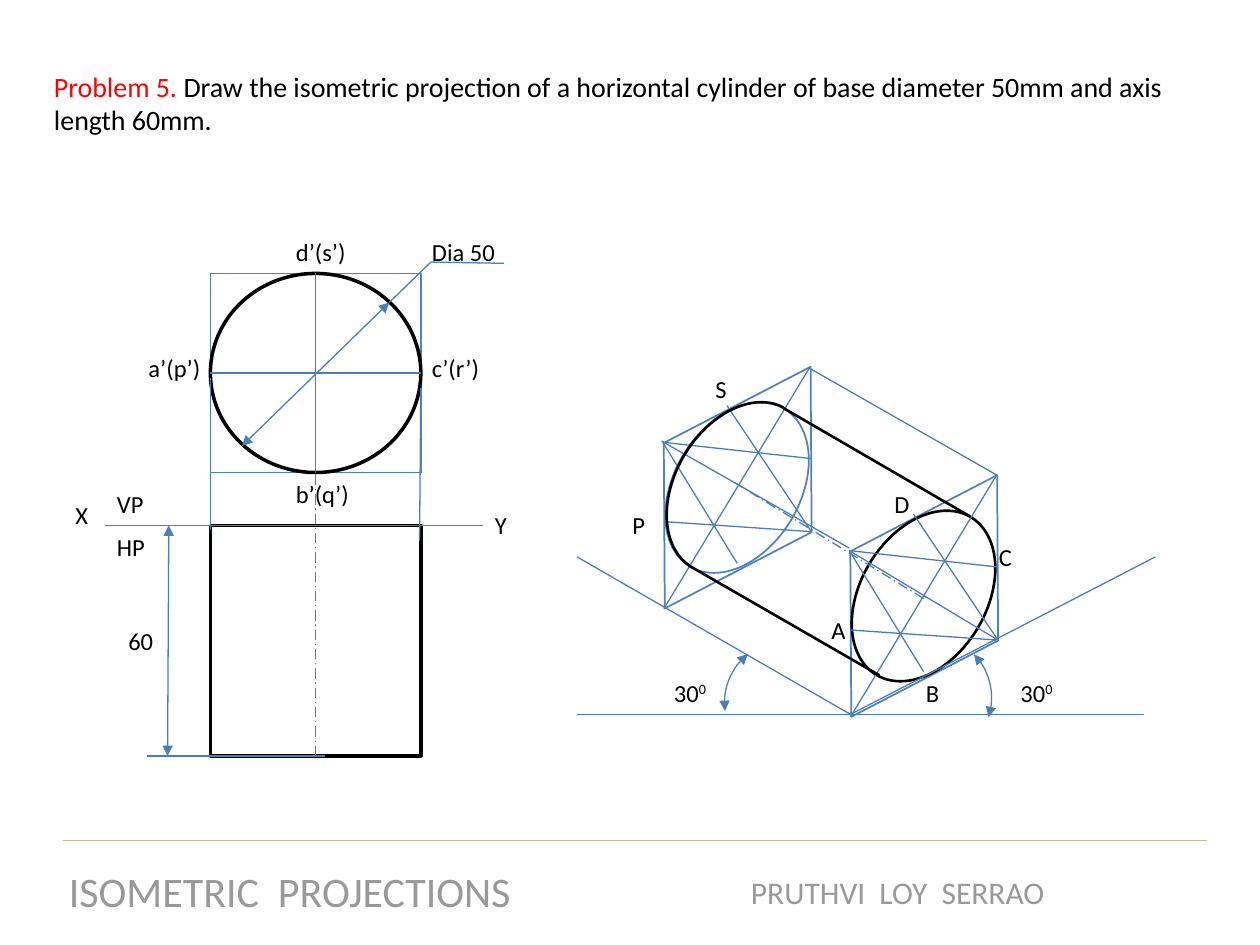
from lxml import etree
from pptx import Presentation
from pptx.dml.color import RGBColor
from pptx.enum.dml import MSO_LINE
from pptx.enum.shapes import MSO_CONNECTOR, MSO_SHAPE
from pptx.enum.text import PP_ALIGN
from pptx.oxml.ns import qn
from pptx.util import Inches, Pt

RECT, OVAL = MSO_SHAPE.RECTANGLE, MSO_SHAPE.OVAL
DIAMOND, ARC = MSO_SHAPE.DIAMOND, MSO_SHAPE.ARC
STRAIGHT = MSO_CONNECTOR.STRAIGHT
DASH_DOT = MSO_LINE.LONG_DASH_DOT
LEFT, CENTER = PP_ALIGN.LEFT, PP_ALIGN.CENTER
TOP_SIDE, LEFT_SIDE, BOTTOM_SIDE, RIGHT_SIDE = range(4)

WHITE = RGBColor(0xFF, 0xFF, 0xFF)
BLACK = RGBColor(0, 0, 0)
RED = RGBColor(0xFF, 0, 0)
GRAY = RGBColor(0x99, 0x99, 0x99)
EDGE = RGBColor(0x4F, 0x81, 0xBD)
BLUE = RGBColor(0x4A, 0x7D, 0xBB)
TAN = RGBColor(0xC4, 0xBD, 0x97)

prs = Presentation()
prs.slide_width, prs.slide_height = Inches(10), Inches(7.5)
s = prs.slides.add_slide(prs.slide_layouts[6])


def draw(kind, box, color=BLUE, width=0.75, rot=0, adj=(), dash=None, arrows=False):
    """Add a line (kind None, box = x1, y1, x2, y2) or an outlined shape."""
    box = [Inches(v) for v in box]
    if kind is None:
        sp = s.shapes.add_connector(STRAIGHT, *box)
        etree.SubElement(sp._element.spPr, qn("a:effectLst"))
    else:
        sp = s.shapes.add_shape(kind, *box)
        sp.shadow.inherit = False
        sp.rotation = rot
        for i, value in enumerate(adj):
            sp.adjustments[i] = value
        if kind == ARC:
            sp.fill.background()
        else:
            sp.fill.solid()
            sp.fill.fore_color.rgb = WHITE
    sp.line.color.rgb = color
    sp.line.width = Pt(width)
    if dash:
        sp.line.dash_style = dash
    if arrows:
        ln = sp.line._get_or_add_ln()
        for tag in ("a:headEnd", "a:tailEnd"):
            etree.SubElement(ln, qn(tag), type="triangle")
    return sp


def write(box, runs, size=14, align=LEFT):
    """Add a text box; runs are (text, color, baseline in 1/1000 %)."""
    tf = s.shapes.add_textbox(*[Inches(v) for v in box]).text_frame
    frame = {"word_wrap": True, "margin_right": 0,
             "margin_left": 0 if align == CENTER else Inches(0.1)}
    for name, value in frame.items():
        setattr(tf, name, value)
    p = tf.paragraphs[0]
    p.alignment = align
    for text, color, baseline in runs:
        r = p.add_run()
        r.text = text
        for name, value in {"size": Pt(size), "name": "Calibri"}.items():
            setattr(r.font, name, value)
        r.font.color.rgb = color
        if baseline:
            r.font._element.set("baseline", str(baseline))


# Problem statement
write((0.33, 0.5, 9.42, 0.64), [
    ("Problem 5. ", RED, 0),
    ("Draw the isometric projection of a horizontal cylinder of base diameter "
     "50mm and axis length 60mm.", BLACK, 0)], 16)

# Front view (circle in square) and top view (rectangle)
square = draw(RECT, (1.67, 2.17, 1.67, 1.58), EDGE, 1)
plan = draw(RECT, (1.67, 4.17, 1.67, 1.83), BLACK, 2)
draw(OVAL, (1.67, 2.17, 1.67, 1.58), BLACK, 2)

# Centre lines and cylinder axis, joined to the sides
for box, start, i, end, j, dash in (
        ((1.67, 2.96, 3.33, 2.96), square, LEFT_SIDE, square, RIGHT_SIDE, None),
        ((2.5, 2.17, 2.5, 3.75), square, TOP_SIDE, square, BOTTOM_SIDE, None),
        ((2.5, 6, 2.5, 3.75), plan, BOTTOM_SIDE, square, BOTTOM_SIDE, DASH_DOT)):
    c = draw(None, box, dash=dash)
    c.begin_connect(start, i)
    c.end_connect(end, j)

# XY line, projectors, extension line and diameter leader
for box in ((0.83, 4.17, 3.83, 4.17), (1.67, 4.21, 1.67, 3),
            (3.33, 4.29, 3.34, 3.08), (1.17, 6, 2.58, 6),
            (3.42, 2.08, 3.09, 2.4), (4, 2.09, 3.42, 2.08)):
    draw(None, box)

# Length and diameter dimensions
for box in ((1.34, 4.17, 1.33, 6), (1.92, 3.54, 3.09, 2.4)):
    draw(None, box, arrows=True)

# Isometric end faces: the back one is the front one shifted along the axis
for dx, dy, color, width in ((0, 0, BLACK, 1.5), (-1.48, -0.86, EDGE, 1)):
    draw(DIAMOND, (6.65 + dx, 3.61 + dy, 1.37, 2.24), EDGE, 1, rot=31.1)
    draw(OVAL, (6.6 + dx, 4.23 + dy, 1.46, 1), color, width, rot=300.9)
    for x1, y1, x2, y2 in ((6.75, 5, 7.92, 5.08), (7.92, 5.08, 7.25, 4.08),
                           (6.74, 4.37, 7.33, 5.33), (6.74, 4.37, 7.92, 4.5),
                           (7.91, 3.77, 6.75, 5.69)):
        draw(None, (x1 + dx, y1 + dy, x2 + dx, y2 + dy))

# Ground line, 30-degree lines and long edges of the box
for box in ((6.75, 5.67, 9.17, 4.42), (4.58, 5.67, 9.08, 5.67),
            (6.75, 5.67, 4.58, 4.42), (7.92, 5.08, 6.74, 4.37),
            (7.91, 3.77, 6.42, 2.92), (6.74, 4.35, 5.25, 3.5)):
    draw(None, box)

# Cylinder outline and axis
for box in ((7.7, 4.1, 6.22, 3.24), (6.98, 5.36, 5.47, 4.49)):
    draw(None, box, BLACK, 1.5)
draw(ARC, (5.13, 3.37, 1.46, 1), BLACK, 1.5, rot=300.5, adj=(108.9, 215.42))
draw(None, (7.33, 4.75, 5.83, 3.83), dash=DASH_DOT)

# Angle arcs
draw(ARC, (6.87, 5.04, 1, 1), rot=39, adj=(166.31, 203.31), arrows=True)
draw(ARC, (5.75, 5.08, 1, 1), rot=270, adj=(157.67, 192.65), arrows=True)

# Labels
for text, x, y, w in (
        ("X", 0.5, 3.92, 0.3), ("Y", 3.83, 4, 0.3),
        ("VP", 0.83, 3.83, 0.42), ("HP", 0.83, 4.17, 0.43),
        ("Dia 50", 3.33, 1.83, 0.71), ("60", 0.92, 4.92, 0.4),
        ("a’(p’)", 1.08, 2.75, 0.62), ("b’(q’)", 2.25, 3.75, 0.97),
        ("c’(r’)", 3.33, 2.75, 0.58), ("d’(s’)", 2.25, 1.83, 0.61),
        ("A", 6.5, 4.83, 0.32), ("B", 7.25, 5.33, 0.31),
        ("C", 7.83, 4.25, 0.31), ("D", 7, 3.83, 0.32),
        ("P", 4.92, 4, 0.31), ("S", 5.58, 2.92, 0.29)):
    write((x, y, w, 0.34), [(text, BLACK, 0)])
for x in (5.25, 8):
    write((x, 5.33, 0.47, 0.34), [("30", BLACK, 0), ("0", BLACK, 30000)])

# Footer
draw(None, (9.58, 6.67, 0.5, 6.67), TAN)
write((0.43, 6.82, 3.74, 0.5), [("ISOMETRIC  PROJECTIONS", GRAY, 0)], 24, CENTER)
write((5.85, 6.88, 2.55, 0.4), [("PRUTHVI  LOY  SERRAO", GRAY, 0)], 18, CENTER)

prs.save("out.pptx")
